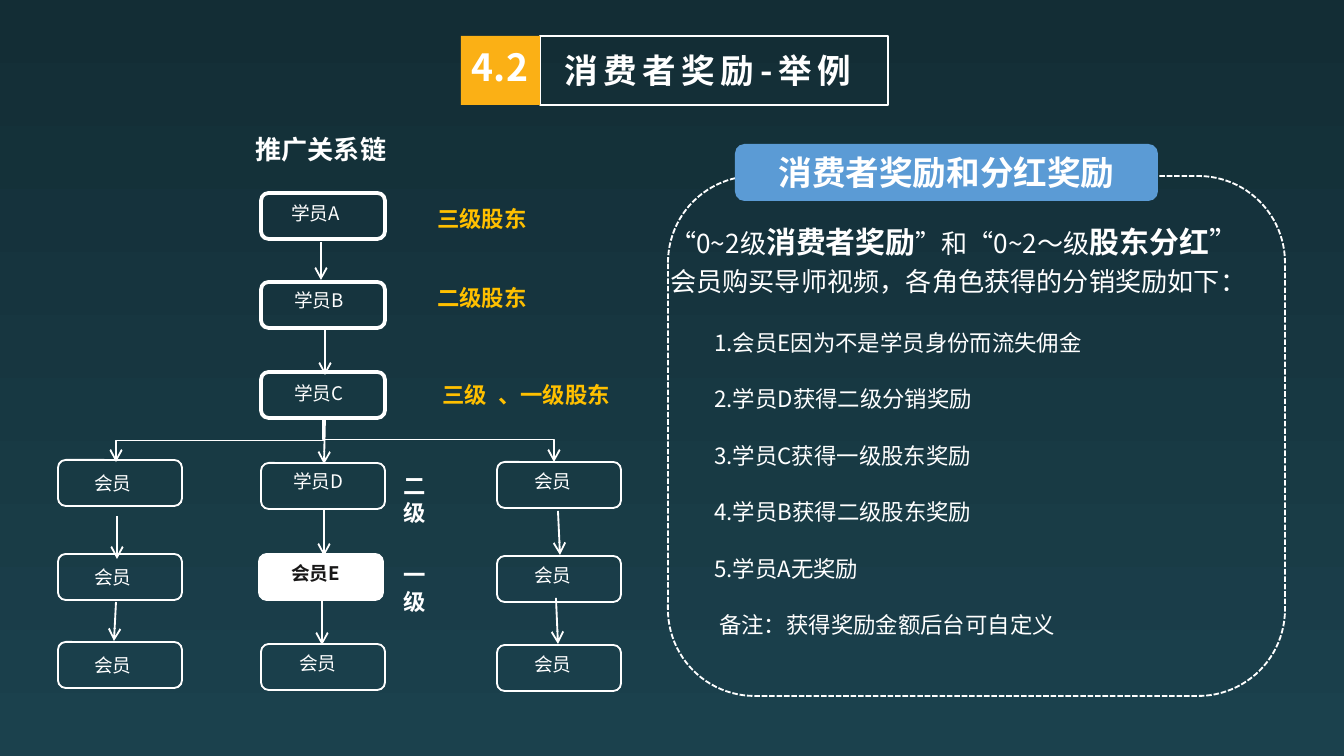
from dataclasses import dataclass

from lxml import etree
from pptx import Presentation
from pptx.dml.color import RGBColor
from pptx.enum.dml import MSO_LINE
from pptx.enum.shapes import MSO_CONNECTOR, MSO_SHAPE
from pptx.enum.text import MSO_ANCHOR, PP_ALIGN
from pptx.oxml.ns import qn
from pptx.util import Emu, Pt

RECTANGLE = MSO_SHAPE.RECTANGLE
ROUNDED = MSO_SHAPE.ROUNDED_RECTANGLE
STRAIGHT = MSO_CONNECTOR.STRAIGHT
ELBOW = MSO_CONNECTOR.ELBOW
DASHED = MSO_LINE.SQUARE_DOT
TOP = MSO_ANCHOR.TOP
MIDDLE = MSO_ANCHOR.MIDDLE
LEFT = PP_ALIGN.LEFT
CENTER = PP_ALIGN.CENTER
EMU_PER_PX = 914400 / 134.4


@dataclass(frozen=True)
class Theme:
    font: str = "Noto Sans CJK SC"
    white: str = "FFFFFF"
    ink: str = "181717"
    gold: str = "FFC000"
    orange: str = "FBB015"
    blue: str = "5B9BD5"
    night: str = "132D35"
    teal: str = "1B414D"
    number: int = 20
    title: int = 18
    strong: int = 16
    lead: int = 14
    body: int = 12
    small: int = 10


THEME = Theme()


def px(length):
    return Emu(round(length * EMU_PER_PX))


def rgb(value):
    return RGBColor.from_string(value)


def add_span(para, text, size, color=THEME.white, bold=False, spacing=0):
    span = para.add_run()
    span.text = text
    font = span.font
    font.size, font.bold, font.name = Pt(size), bold, THEME.font
    font.color.rgb = rgb(color)
    properties = span._r.get_or_add_rPr()
    etree.SubElement(properties, qn("a:ea")).set("typeface", THEME.font)
    if spacing:
        properties.set("spc", str(spacing * 100))


def write(box, paragraphs, align=LEFT, line_spacing=None, anchor=TOP, indents=()):
    frame = box.text_frame
    frame.word_wrap = True
    frame.vertical_anchor = anchor
    for index, spans in enumerate(paragraphs):
        para = frame.add_paragraph() if index else frame.paragraphs[0]
        para.alignment = align
        if line_spacing:
            para.line_spacing = line_spacing
        if indents:
            para._p.get_or_add_pPr().set("marL", str(px(indents[index])))
        for text, size, *style in spans:
            add_span(para, text, size, *style)


def add_text(page, area, paragraphs, **layout):
    box = page.shapes.add_textbox(*map(px, area))
    write(box, paragraphs, **layout)
    return box


def add_block(page, kind, area, fill=None, line=None, dash=None):
    block = page.shapes.add_shape(kind, *map(px, area))
    block.shadow.inherit = False
    if fill:
        block.fill.solid()
        block.fill.fore_color.rgb = rgb(fill)
    else:
        block.fill.background()
    if line:
        block.line.color.rgb = rgb(THEME.white)
        block.line.width = Pt(line)
        if dash:
            block.line.dash_style = dash
    else:
        block.line.fill.background()
    return block


def add_arrow(page, kind, start, end):
    arrow = page.shapes.add_connector(kind, *map(px, (*start, *end)))
    arrow.line.color.rgb = rgb(THEME.white)
    arrow.line.width = Pt(1)
    properties = arrow._element.spPr
    tail = etree.SubElement(arrow.line._get_or_add_ln(), qn("a:tailEnd"))
    tail.set("type", "arrow")
    etree.SubElement(properties, qn("a:effectLst"))
    return arrow


def add_branch(page, start, end):
    middle_x = (start[0] + end[0]) / 2
    middle_y = (start[1] + end[1]) / 2
    half = (end[1] - start[1]) / 2
    branch = add_arrow(
        page, ELBOW,
        (middle_x - half, middle_y + middle_x - start[0]),
        (middle_x + half, middle_y + middle_x - end[0]),
    )
    branch._element.spPr.find(qn("a:xfrm")).set("rot", "5400000")


def add_card(page, left, top, label, label_left, label_top, line=1, fill=None):
    add_block(page, ROUNDED, (left, top, 124, 46), fill=fill, line=line)
    color = THEME.ink if fill else THEME.white
    box = add_text(page, (label_left, label_top, 92, 36),
                   [[(label, THEME.small, color, bool(fill))]])
    if fill:
        box.fill.solid()
        box.fill.fore_color.rgb = rgb(fill)


def paint_background(page):
    fill = page.background.fill
    fill.gradient()
    fill.gradient_angle = 270
    for stop, color in zip(fill.gradient_stops, (THEME.night, THEME.teal)):
        stop.color.rgb = rgb(color)


def add_heading(page):
    add_block(page, RECTANGLE, (540, 36, 348, 69), line=0.75)
    add_block(page, RECTANGLE, (461, 36, 79, 69), fill=THEME.orange)
    add_text(page, (449, 38, 102, 59),
             [[("4.2", THEME.number, THEME.white, True)]], align=CENTER)
    add_text(page, (551, 43, 340, 54),
             [[("消费者奖励-举例", THEME.title, THEME.white, True, 3)]])


def add_reward_panel(page):
    add_text(page, (657, 210, 638, 95), [
        [("“0~2级", THEME.lead), ("消费者奖励", THEME.strong, THEME.white, True),
         ("”和“0~2～级", THEME.lead), ("股东分红", THEME.strong, THEME.white, True),
         ("”", THEME.strong)],
        [("会员购买导师视频，各角色获得的分销奖励如下：", THEME.lead)],
    ], line_spacing=1.2)
    rewards = ("会员E因为不是学员身份而流失佣金", "学员D获得二级分销奖励",
               "学员C获得一级股东奖励", "学员B获得二级股东奖励", "学员A无奖励")
    lines = [f"{number}.{reward}" for number, reward in enumerate(rewards, 1)]
    lines.append("备注：获得奖励金额后台可自定义")
    add_text(page, (696, 293, 578, 355), [[(line, THEME.body)] for line in lines],
             line_spacing=2.1, indents=[5] * len(rewards) + [10])
    add_block(page, ROUNDED, (668, 176, 617, 520), line=1, dash=DASHED)
    banner = add_block(page, ROUNDED, (735, 144, 423, 57), fill=THEME.blue)
    write(banner, [[("消费者奖励和分红奖励", THEME.title, THEME.white, True)]],
          align=CENTER, anchor=MIDDLE)


def add_referral_chain(page):
    add_text(page, (237, 121, 168, 51),
             [[("推广关系链", THEME.lead, THEME.white, True)]],
             align=CENTER, line_spacing=1.2)
    for top, label, label_left, label_top, line in (
        (193, "学员A", 278, 195, 2), (282, "学员B", 281, 282, 2),
        (372, "学员C", 281, 375, 2), (463, "学员D", 280, 463, 1),
        (644, "会员", 286, 645, 1),
    ):
        add_card(page, 261, top, label, label_left, label_top, line)
    add_card(page, 259, 554, "会员E", 278, 555, fill=THEME.white)
    for left, label_shift, label_drop, tops in (
        (58, 23, 5, (460, 554, 642)), (497, 24, 1, (462, 556, 645)),
    ):
        for top in tops:
            add_card(page, left, top, "会员", left + label_shift, top + label_drop)
    for start, end in (
        ((321, 242), (321, 280)), ((325, 329), (325, 375)),
        ((325, 418), (324, 464)), ((324, 508), (324, 556)),
        ((322, 591), (322, 645)), ((117, 516), (117, 559)),
        ((116, 602), (114, 641)), ((558, 511), (560, 555)),
        ((556, 598), (558, 644)),
    ):
        add_arrow(page, STRAIGHT, start, end)
    add_branch(page, (324, 419), (116, 462))
    add_branch(page, (323, 417), (554, 462))


def add_level_labels(page):
    for text, left, top, width, color in (
        ("一级", 390, 555, 67, THEME.white), ("二级", 390, 466, 67, THEME.white),
        ("三级", 429, 375, 78, THEME.gold), ("、一级股东", 485, 375, 152, THEME.gold),
        ("三级股东", 424, 199, 173, THEME.gold), ("二级股东", 424, 278, 173, THEME.gold),
    ):
        add_text(page, (left, top, width, 40), [[(text, THEME.body, color, True)]])


def main():
    deck = Presentation()
    deck.slide_width, deck.slide_height = px(1344), px(756)
    page = deck.slides.add_slide(deck.slide_layouts[6])
    paint_background(page)
    add_reward_panel(page)
    add_referral_chain(page)
    add_level_labels(page)
    add_heading(page)
    deck.save("out.pptx")


if __name__ == "__main__":
    main()
